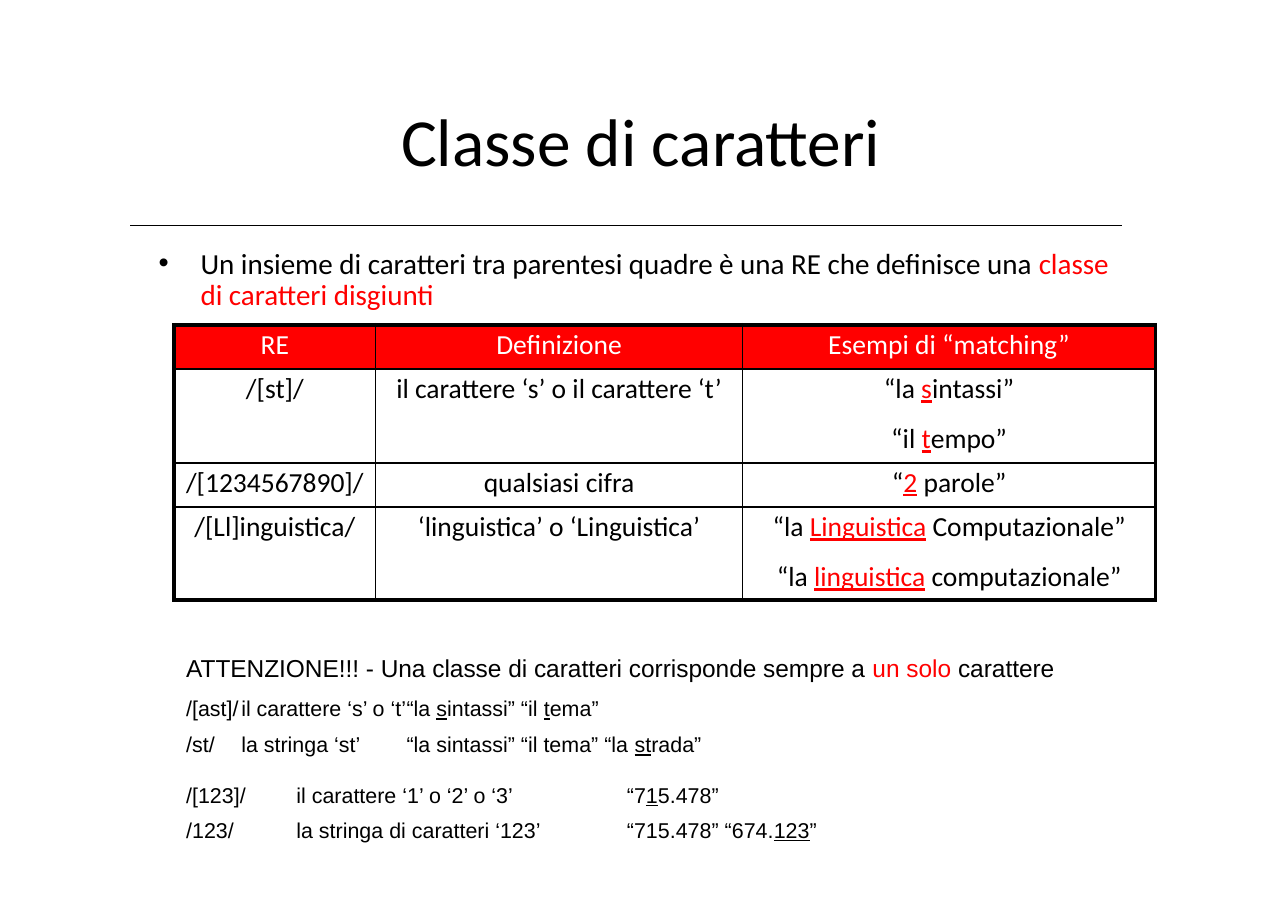
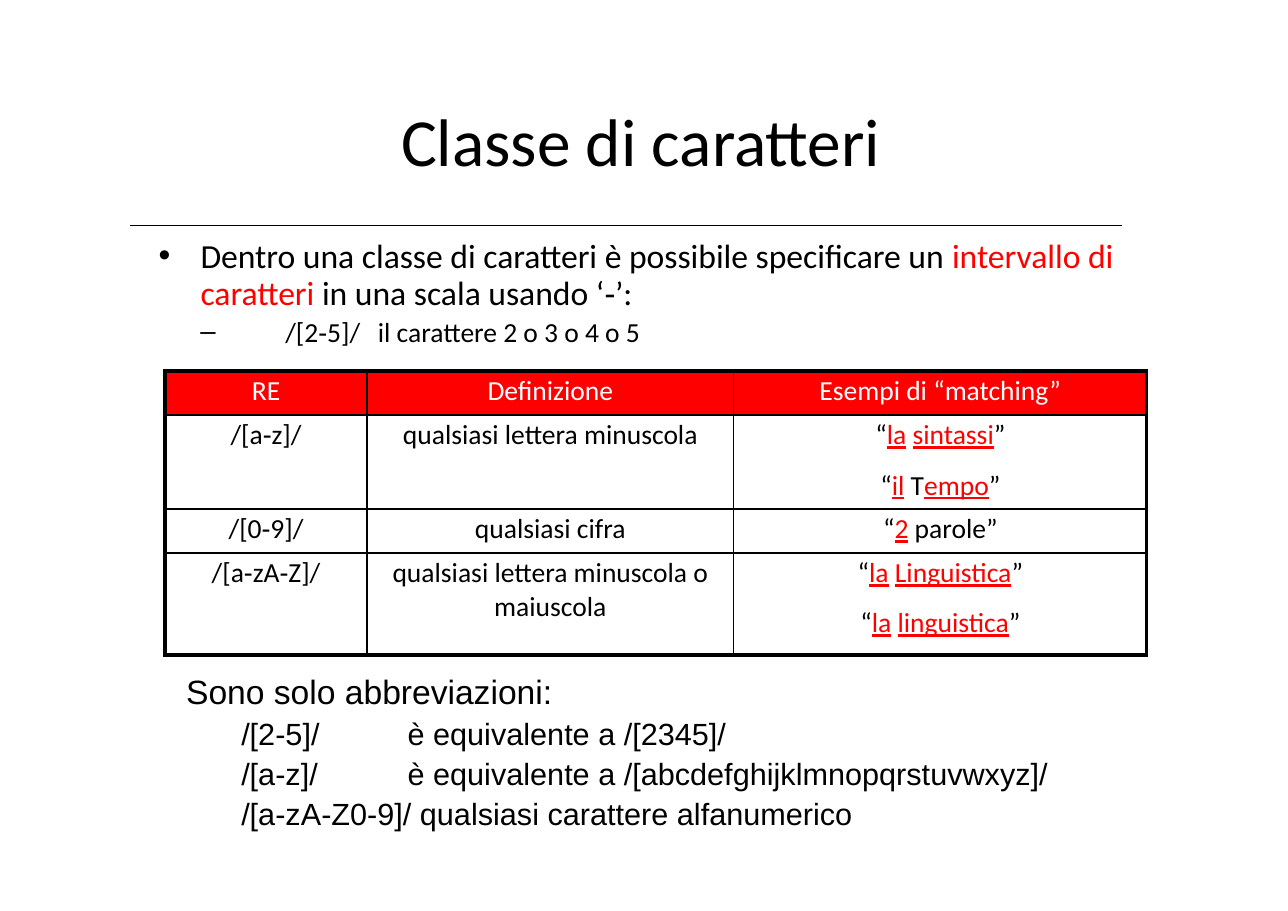
from dataclasses import dataclass

import pptx
import pptx.dml.color
import pptx.enum.shapes
import pptx.enum.text
import pptx.oxml.ns
import pptx.util
from lxml import etree

Inches = pptx.util.Inches
Pt = pptx.util.Pt
Align = pptx.enum.text.PP_ALIGN


@dataclass(frozen=True)
class Theme:
    black: str = "000000"
    red: str = "FF0000"
    white: str = "FFFFFF"
    heading_font: str = "Calibri"
    note_font: str = "Arial"
    title: float = 44
    lead: float = 22
    small_lead: float = 19
    equivalence: float = 20
    cell: float = 18
    warning: float = 16
    example: float = 14


THEME = Theme()


@dataclass(frozen=True)
class Span:
    text: str
    color: str = THEME.black
    underline: bool = False


@dataclass(frozen=True)
class Para:
    spans: tuple[Span, ...]
    size: float
    font: str = THEME.heading_font
    before: float = 0
    line: float | None = None
    align: Align = Align.LEFT
    bullet: str = ""
    left: float = 0
    hanging: float = 0
    tabs: tuple[float, ...] = ()


@dataclass(frozen=True)
class Box:
    left: float
    top: float
    width: float
    height: float


@dataclass(frozen=True)
class Rule:
    """One row of a table of regular expressions."""
    pattern: str
    definition: str
    matches: tuple[tuple[Span, ...], ...]
    height: float


def plain(text: str) -> Span:
    return Span(text)


def red(text: str) -> Span:
    return Span(text, THEME.red)


def hit(text: str) -> Span:
    """Part of an example that a pattern matches, in the tables."""
    return Span(text, THEME.red, True)


def under(text: str) -> Span:
    return Span(text, underline=True)


def note(*spans: Span, size: float = THEME.example, before: float = 0,
         line: float | None = None, tabs: tuple[float, ...] = ()) -> Para:
    return Para(spans, size, THEME.note_font, before, line, tabs=tabs)


def rgb(color: str) -> pptx.dml.color.RGBColor:
    return pptx.dml.color.RGBColor.from_string(color)


def sub(parent, tag: str, **attributes: str):
    element = etree.SubElement(parent, pptx.oxml.ns.qn(tag))
    for key, value in attributes.items():
        element.set(key, value)
    return element


def set_margins(owner, left: float = 0, top: float = 0) -> None:
    owner.margin_left, owner.margin_top = Inches(left), Inches(top)
    owner.margin_right = owner.margin_bottom = 0


def set_indents(paragraph, content: Para) -> None:
    """Add left indent, bullet and tab stops."""
    properties = paragraph._p.get_or_add_pPr()
    properties.set("marL", str(Inches(content.left)))
    properties.set("indent", str(Inches(-content.hanging)))
    if content.bullet:
        sub(properties, "a:buFont", typeface=THEME.note_font)
        sub(properties, "a:buChar", char=content.bullet)
    else:
        sub(properties, "a:buNone")
    if content.tabs:
        stops = sub(properties, "a:tabLst")
        for stop in content.tabs:
            sub(stops, "a:tab", pos=str(Inches(stop)), algn="l")


def write(frame, paragraphs: list[Para]) -> None:
    for index, content in enumerate(paragraphs):
        paragraph = frame.add_paragraph() if index else frame.paragraphs[0]
        paragraph.alignment = content.align
        paragraph.space_before = Pt(content.before)
        if content.line:
            paragraph.line_spacing = Pt(content.line)
        set_indents(paragraph, content)
        for span in content.spans:
            run = paragraph.add_run()
            run.text = span.text
            run.font.size = Pt(content.size)
            run.font.name = content.font
            run.font.color.rgb = rgb(span.color)
            run.font.underline = span.underline


def fill_frame(shape, paragraphs: list[Para], top_margin: float) -> None:
    frame = shape.text_frame
    frame.word_wrap = True
    frame.auto_size = pptx.enum.text.MSO_AUTO_SIZE.NONE
    frame.vertical_anchor = pptx.enum.text.MSO_ANCHOR.TOP
    set_margins(frame, top=top_margin)
    write(frame, paragraphs)


def add_text(slide, box: Box, paragraphs: list[Para], top_margin: float = 0.05) -> None:
    shape = slide.shapes.add_textbox(
        Inches(box.left), Inches(box.top), Inches(box.width), Inches(box.height))
    fill_frame(shape, paragraphs, top_margin)


def add_titled_slide(deck, heading: str):
    slide = deck.slides.add_slide(deck.slide_layouts[5])
    title = slide.shapes.title
    title.left, title.top = Inches(3.64), Inches(0.89)
    title.width, title.height = Inches(4.5), Inches(0.76)
    fill_frame(title, [Para((plain(heading),), THEME.title, before=0.9)], 0.01)
    divider = slide.shapes.add_connector(
        pptx.enum.shapes.MSO_CONNECTOR.STRAIGHT,
        Inches(1.18), Inches(2.05), Inches(10.18), Inches(2.05))
    divider.line.color.rgb = rgb(THEME.black)
    divider.line.width = Pt(0.5)
    sub(divider._element.spPr, "a:effectLst")
    return slide


def add_grid(slide, left: float, top: float, columns: list[float], rows: list[float]):
    table = slide.shapes.add_table(
        len(rows), len(columns), Inches(left), Inches(top),
        Inches(sum(columns)), Inches(sum(rows))).table
    table.first_row = table.horz_banding = False
    for column, width in zip(table.columns, columns):
        column.width = Inches(width)
    for row, height in zip(table.rows, rows):
        row.height = Inches(height)
    for cell in table.iter_cells():
        cell.fill.background()
    return table


def set_borders(cell, widths: dict[str, float]) -> None:
    properties = cell._tc.get_or_add_tcPr()
    for index, (side, width) in enumerate(widths.items()):
        edge = etree.Element(pptx.oxml.ns.qn(f"a:ln{side}"), w=str(Pt(width)))
        sub(sub(edge, "a:solidFill"), "a:srgbClr", val=THEME.black)
        properties.insert(index, edge)


def add_rules(slide, left: float, top: float, rules: list[Rule]) -> None:
    header = [[(Span(label, THEME.white),)]
              for label in ("RE", "Definizione", "Esempi di “matching”")]
    rows = [header] + [[[(plain(rule.pattern),)], [(plain(rule.definition),)],
                        list(rule.matches)] for rule in rules]
    table = add_grid(slide, left, top, [1.83, 3.33, 3.75],
                     [0.4] + [rule.height for rule in rules])
    last_row, last_column = len(rows) - 1, len(header) - 1
    for r, row in enumerate(rows):
        for c, lines in enumerate(row):
            cell = table.cell(r, c)
            set_margins(cell, top=0.03)
            if r == 0:
                cell.fill.solid()
                cell.fill.fore_color.rgb = rgb(THEME.red)
            write(cell.text_frame, [
                Para(spans, THEME.cell, before=10.9 if i else 2.5, align=Align.CENTER)
                for i, spans in enumerate(lines)])
            set_borders(cell, {"L": 1 if c else 3, "R": 2.25 if c == last_column else 1,
                               "T": 1.5 if r else 3, "B": 3 if r == last_row else 1.5})


def add_comparison(slide) -> None:
    """Align the digit class with the digit string."""
    rows = [
        [(plain("/[123]/"),), (plain("il carattere ‘1’ o ‘2’ o ‘3’"),),
         (plain("“7"), under("1"), plain("5.478”"))],
        [(plain("/123/"),), (plain("la stringa di caratteri ‘123’"),),
         (plain("“715.478” “674."), under("123"), plain("”"))],
    ]
    table = add_grid(slide, 1.66, 7.12, [0.8, 2.83, 2.14], [0.27] * len(rows))
    row_styles = [(0, 0, 15.4), (0.04, 2.6, 15.9)]
    for r, (row, (top, before, line)) in enumerate(zip(rows, row_styles)):
        for c, (spans, left) in enumerate(zip(row, (0.03, 0.23, 0.4))):
            cell = table.cell(r, c)
            set_margins(cell, left, top)
            write(cell.text_frame, [note(*spans, before=before, line=line)])


def build_class_slide(deck) -> None:
    slide = add_titled_slide(deck, "Classe di caratteri")
    add_text(slide, Box(1.43, 2.21, 8.75, 0.63), [Para(
        (plain("Un insieme di caratteri tra parentesi quadre è una RE che definisce una "),
         red("classe di caratteri disgiunti")),
        THEME.small_lead, before=3.6, line=20.5, bullet="•", left=0.39, hanging=0.38)])
    add_rules(slide, 1.58, 2.95, [
        Rule("/[st]/", "il carattere ‘s’ o il carattere ‘t’",
             ((plain("“la "), hit("s"), plain("intassi”")),
              (plain("“il "), hit("t"), plain("empo”"))), 0.85),
        Rule("/[1234567890]/", "qualsiasi cifra",
             ((plain("“"), hit("2"), plain(" parole”")),), 0.4),
        Rule("/[Ll]inguistica/", "‘linguistica’ o ‘Linguistica’",
             ((plain("“la "), hit("Linguistica"), plain(" Computazionale”")),
              (plain("“la "), hit("linguistica"), plain(" computazionale”"))), 0.85),
    ])
    add_text(slide, Box(1.69, 5.78, 8.2, 1.1), [
        note(plain("ATTENZIONE!!! - Una classe di caratteri corrisponde sempre a "),
             red("un solo "), plain("carattere"), size=THEME.warning, before=10.6),
        note(plain("/[ast]/\til carattere ‘s’ o ‘t’\t“la "), under("s"),
             plain("intassi” “il "), under("t"), plain("ema”"),
             before=8.3, tabs=(2.01, 4.01)),
        note(plain("/st/\tla stringa ‘st’\t“la sintassi” “il tema” “la "), under("st"),
             plain("rada”"), before=6.7, tabs=(1.01, 3.01)),
    ], top_margin=0.15)
    add_comparison(slide)


def build_range_slide(deck) -> None:
    slide = add_titled_slide(deck, "Classe di caratteri")
    add_text(slide, Box(1.43, 2.12, 8.85, 1.06), [
        Para((plain("Dentro una classe di caratteri è possibile specificare un "),
              red("intervallo di caratteri "), plain("in una scala usando ‘‐’:")),
             THEME.lead, before=4, line=23.8, bullet="•", left=0.39, hanging=0.38),
        Para((plain("/[2‐5]/\til carattere 2 o 3 o 4 o 5"),), THEME.cell, before=1.9,
             bullet="–", left=1.16, hanging=0.77, tabs=(1.24,)),
    ])
    add_rules(slide, 1.5, 3.37, [
        Rule("/[a‐z]/", "qualsiasi lettera minuscola",
             ((plain("“"), hit("la"), plain(" "), hit("sintassi"), plain("”")),
              (plain("“"), hit("il"), plain(" T"), hit("empo"), plain("”"))), 0.85),
        Rule("/[0‐9]/", "qualsiasi cifra",
             ((plain("“"), hit("2"), plain(" parole”")),), 0.4),
        Rule("/[a‐zA‐Z]/", "qualsiasi lettera minuscola o maiuscola",
             tuple((plain("“"), hit("la"), plain(" "), hit(word), plain("”"))
                   for word in ("Linguistica", "linguistica")), 0.93),
    ])
    add_text(slide, Box(1.69, 6.08, 3.6, 0.4), [
        note(plain("Sono solo abbreviazioni:"), size=THEME.lead, before=1)], 0.01)
    equivalences = [
        (Box(2.19, 6.44, 0.9, 0.76), ("/[2-5]/", "/[a-z]/")),
        (Box(3.7, 6.44, 6, 0.76), ("è equivalente a /[2345]/",
                                   "è equivalente a /[abcdefghijklmnopqrstuvwxyz]/")),
    ]
    for box, lines in equivalences:
        add_text(slide, box, [
            note(plain(line), size=THEME.equivalence, before=before)
            for line, before in zip(lines, (3.4, 2.4))])
    add_text(slide, Box(2.19, 7.21, 5.8, 0.36), [
        note(plain("/[a-zA-Z0-9]/ qualsiasi carattere alfanumerico"),
             size=THEME.equivalence, before=0.9)], 0.01)


def main() -> None:
    deck = pptx.Presentation()
    deck.slide_width, deck.slide_height = Inches(11.69), Inches(8.27)
    build_class_slide(deck)
    build_range_slide(deck)
    deck.save("out.pptx")


if __name__ == "__main__":
    main()
